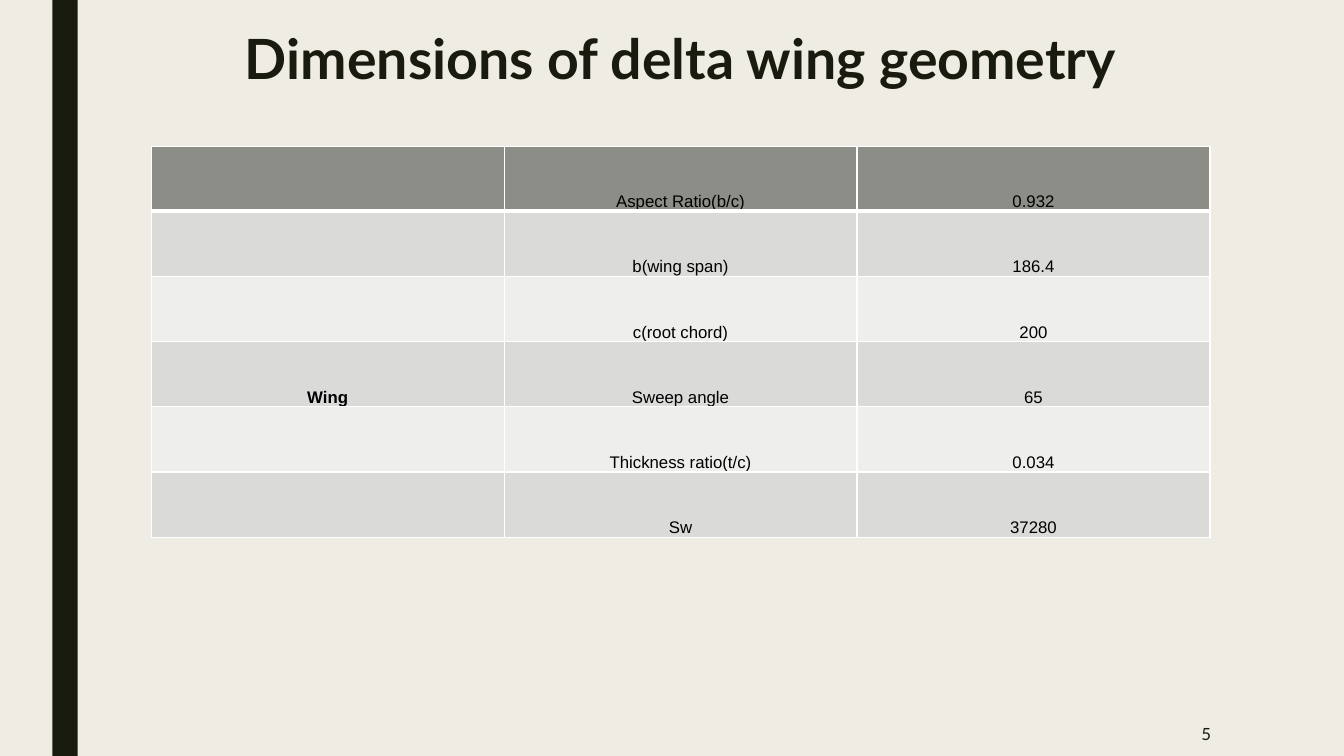
"""Build the slide with the delta wing dimension table."""
from dataclasses import dataclass

from lxml.etree import SubElement
from pptx import Presentation
from pptx.dml.color import RGBColor
from pptx.enum.shapes import MSO_SHAPE as Shape
from pptx.enum.text import MSO_ANCHOR as Anchor, PP_ALIGN as Align
from pptx.oxml.ns import qn
from pptx.util import Inches, Pt

TITLE = "Dimensions of delta wing geometry"
SLIDE_NUMBER = "5"
DIMENSIONS = [
    ("", "Aspect Ratio(b/c)", "0.932"),
    ("", "b(wing span)", "186.4"),
    ("", "c(root chord)", "200"),
    ("Wing", "Sweep angle", "65"),
    ("", "Thickness ratio(t/c)", "0.034"),
    ("", "Sw", "37280"),
]
TABLE_BOX = (1.5, 1.45, 10.5, 3.88)


@dataclass(frozen=True)
class Theme:
    background: str = "EFEDE3"
    ink: str = "191B0E"
    table_text: str = "000000"
    header: str = "8C8D86"
    bands: tuple = ("EEEEED", "DADBD9")
    border: str = "FFFFFF"
    heading_font: str = "Lato"
    table_font: str = "Arial"
    title_size: float = 39.6
    body_size: float = 12


THEME = Theme()


def paint(fill, color):
    fill.solid()
    fill.fore_color.rgb = RGBColor.from_string(color)


def write(frame, text, *, font=THEME.heading_font, size=THEME.body_size,
          color=THEME.ink, bold=False, align=Align.CENTER, spacing=None):
    paragraph = frame.paragraphs[0]
    paragraph.alignment = align
    paragraph.line_spacing = spacing
    run = paragraph.add_run()
    run.text = text
    run.font.name = font
    run.font.size = Pt(size)
    run.font.bold = bold
    run.font.color.rgb = RGBColor.from_string(color)


def set_borders(cell, bottom_width, top_width):
    properties = cell._tc.get_or_add_tcPr()
    widths = {"a:lnL": 1, "a:lnR": 1, "a:lnT": top_width, "a:lnB": bottom_width}
    for position, (side, width) in enumerate(widths.items()):
        line = SubElement(properties, qn(side), w=str(Pt(width)))
        fill = SubElement(line, qn("a:solidFill"))
        SubElement(fill, qn("a:srgbClr"), val=THEME.border)
        properties.insert(position, line)


def add_dimension_table(slide):
    rows, columns = len(DIMENSIONS), len(DIMENSIONS[0])
    table = slide.shapes.add_table(rows, columns, *map(Inches, TABLE_BOX)).table
    for row, values in enumerate(DIMENSIONS):
        for column, value in enumerate(values):
            cell = table.cell(row, column)
            paint(cell.fill, THEME.bands[row % 2] if row else THEME.header)
            set_borders(cell, 1 if row else 3, 3 if row == 1 else 1)
            cell.vertical_anchor = Anchor.BOTTOM
            cell.margin_left = cell.margin_right = cell.margin_top = Inches(0.01)
            cell.margin_bottom = 0
            if value:
                write(cell.text_frame, value, font=THEME.table_font,
                      color=THEME.table_text, bold=column == 0)


def main():
    presentation = Presentation()
    presentation.slide_width = Inches(13.33)
    presentation.slide_height = Inches(7.5)
    slide = presentation.slides.add_slide(presentation.slide_layouts[5])
    paint(slide.background.fill, THEME.background)

    stripe = slide.shapes.add_shape(
        Shape.RECTANGLE, *map(Inches, (0.52, 0, 0.25, 7.5)))
    stripe.shadow.inherit = False
    paint(stripe.fill, THEME.ink)
    stripe.line.fill.background()

    title = slide.shapes.title
    title.left, title.top, title.width, title.height = map(
        Inches, (1.5, 0.27, 10.5, 0.68))
    title.text_frame.vertical_anchor = Anchor.MIDDLE
    write(title.text_frame, TITLE, size=THEME.title_size, bold=True, spacing=0.89)

    add_dimension_table(slide)

    number = slide.shapes.add_textbox(*map(Inches, (10.36, 7.06, 1.75, 0.44)))
    number.text_frame.word_wrap = True
    number.text_frame.vertical_anchor = Anchor.MIDDLE
    write(number.text_frame, SLIDE_NUMBER, align=Align.RIGHT)

    presentation.save("out.pptx")


if __name__ == "__main__":
    main()
